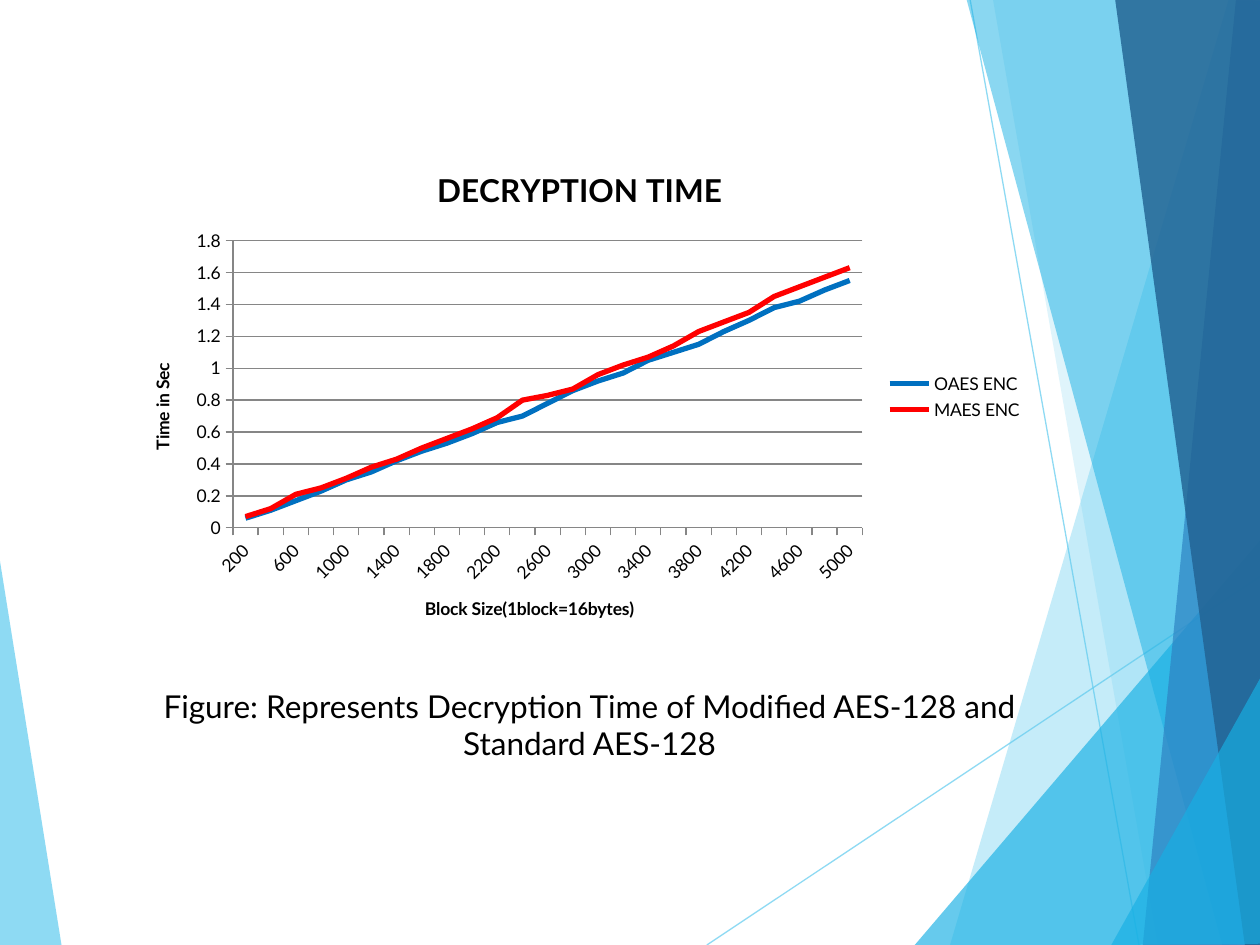
"""Build a slide with a line chart of decryption times and its caption."""
from dataclasses import dataclass

import lxml.etree
import pptx
import pptx.chart.data
import pptx.dml.color
import pptx.enum.chart
import pptx.enum.shapes
import pptx.enum.text
import pptx.oxml
import pptx.oxml.ns
import pptx.util

Inches, Pt, qn = pptx.util.Inches, pptx.util.Pt, pptx.oxml.ns.qn
FACE = "Lato"


@dataclass
class Facet:
    points: list[tuple[float, float]]
    color: str
    alpha: int


@dataclass
class Ray:
    start: tuple[float, float]
    end: tuple[float, float]


@dataclass
class Series:
    name: str
    color: str
    values: list[float]


LEFT = Facet([(-0.01, 4.39), (0.49, 7.51), (-0.01, 7.5)], "5FCBEF", 70)
RAYS = [Ray((5.61, 7.5), (10.01, 4.57)), Ray((7.7, 0), (9.04, 7.5))]
RIGHT = [
    Facet([(9.75, 0), (7.54, 7.5), (10.02, 7.51), (10.01, 0.01)], "5FCBEF", 36),
    Facet([(7.88, -0.01), (9.19, 7.5), (10.01, 7.5), (10.01, -0.01)], "5FCBEF", 20),
    Facet([(7.26, 7.5), (10, 4.29), (10.01, 7.5)], "17B0E4", 66),
    Facet([(7.67, -0.01), (9.7, 7.5), (10.01, 7.49), (10.01, -0.01)], "17B0E4", 50),
    Facet([(9.81, -0.01), (9.07, 7.5), (10.01, 7.5), (10, -0.01)], "2E83C3", 70),
    Facet([(8.85, -0.01), (9.88, 7.5), (10.02, 7.5), (10, -0.01)], "226292", 82),
    Facet([(8.82, 7.5), (10.02, 5.35), (10.02, 7.49)], "17B0E4", 66),
]
SERIES = [
    Series("OAES ENC", "0070C0", [
        0.06, 0.11, 0.17, 0.23, 0.3, 0.35, 0.42, 0.48, 0.53, 0.59, 0.66, 0.7, 0.78,
        0.86, 0.92, 0.97, 1.05, 1.1, 1.15, 1.23, 1.3, 1.38, 1.42, 1.49, 1.55]),
    Series("MAES ENC", "FF0000", [
        0.07, 0.12, 0.21, 0.25, 0.31, 0.38, 0.43, 0.5, 0.56, 0.62, 0.69, 0.8, 0.83,
        0.87, 0.96, 1.02, 1.07, 1.14, 1.23, 1.29, 1.35, 1.45, 1.51, 1.57, 1.63]),
]


def paint(fmt, color: str, alpha: int = 100) -> None:
    """Give a fill or line format a solid colour and opacity."""
    fill = getattr(fmt, "fill", fmt)
    fill.solid()
    fill.fore_color.rgb = pptx.dml.color.RGBColor.from_string(color)


def fade(shape, alpha: int) -> None:
    """Set the opacity of the first colour in a shape."""
    tone = next(shape.element.spPr.iter(qn("a:srgbClr")))
    lxml.etree.SubElement(tone, qn("a:alpha")).set("val", str(alpha * 1000))


def style(font, size: int, bold: bool = False) -> None:
    """Set the face, size, weight and black colour of a font."""
    font.name, font.size, font.bold = FACE, Pt(size), bold
    paint(font, "000000")


def draw_facet(shapes, facet: Facet) -> None:
    """Draw one translucent polygon."""
    spots = [(Inches(x), Inches(y)) for x, y in facet.points]
    pen = shapes.build_freeform(*spots[0])
    pen.add_line_segments(spots[1:], close=True)
    shape = pen.convert_to_shape()
    shape.shadow.inherit = False
    shape.line.fill.background()
    paint(shape.fill, facet.color)
    fade(shape, facet.alpha)


def draw_ray(shapes, ray: Ray) -> None:
    """Draw one thin translucent line."""
    ends = [Inches(n) for n in (*ray.start, *ray.end)]
    line = shapes.add_connector(pptx.enum.shapes.MSO_CONNECTOR.STRAIGHT, *ends)
    line.line.width = Pt(0.75)
    paint(line.line, "5FCBEF")
    fade(line, 70)
    lxml.etree.SubElement(line.element.spPr, qn("a:effectLst"))


def set_title(owner, text: str, size: int) -> None:
    """Give a chart or an axis a bold title."""
    frame = (owner.chart_title if hasattr(owner, "chart_title") else owner.axis_title).text_frame
    frame.text = text
    style(frame.paragraphs[0].font, size, True)


def place_plot(chart) -> None:
    """Fix the inner plot area and the slant and spacing of its labels."""
    plot = chart.element.find(".//" + qn("c:plotArea"))
    for old in plot.findall(qn("c:layout")):
        plot.remove(old)
    spots = {"x": 0.12, "y": 0.19, "w": 0.69, "h": 0.57}
    rows = '<c:layoutTarget val="inner"/><c:xMode val="edge"/><c:yMode val="edge"/>'
    rows += "".join(f'<c:{key} val="{val}"/>' for key, val in spots.items())
    space = pptx.oxml.ns.nsdecls("c")
    plot.insert(0, pptx.oxml.parse_xml(
        f"<c:layout {space}><c:manualLayout>{rows}</c:manualLayout></c:layout>"))
    axis = plot.find(qn("c:catAx"))
    axis.find(qn("c:txPr")).find(qn("a:bodyPr")).set("rot", "-2700000")
    last = axis.find(qn("c:noMultiLvlLbl"))
    for tag, step in (("tickLblSkip", 2), ("tickMarkSkip", 1)):
        last.addprevious(pptx.oxml.parse_xml(f'<c:{tag} {space} val="{step}"/>'))


def draw_chart(shapes) -> None:
    """Draw the decryption time line chart."""
    data = pptx.chart.data.CategoryChartData()
    data.categories = [str(n) for n in range(200, 5001, 200)]
    for item in SERIES:
        data.add_series(item.name, item.values)
    box = [Inches(n) for n in (0.98, 1.15, 7.24, 4)]
    chart = shapes.add_chart(pptx.enum.chart.XL_CHART_TYPE.LINE, *box, data).chart
    style(chart.font, 10)
    set_title(chart, "DECRYPTION TIME", 18)
    chart.has_legend = True
    chart.legend.position = pptx.enum.chart.XL_LEGEND_POSITION.RIGHT
    chart.legend.include_in_layout = False
    style(chart.legend.font, 10)
    chart.plots[0].vary_by_categories = False
    for line, item in zip(chart.plots[0].series, SERIES):
        line.smooth = False
        line.format.line.width = Pt(3)
        paint(line.format.line, item.color)
    cat, val = chart.category_axis, chart.value_axis
    for axis, text in ((cat, "Block Size(1block=16bytes)"), (val, "Time in Sec")):
        set_title(axis, text, 10)
        style(axis.tick_labels.font, 10)
        axis.major_tick_mark = pptx.enum.chart.XL_TICK_MARK.OUTSIDE
        paint(axis.format.line, "868686")
    val.minimum_scale, val.maximum_scale, val.major_unit = 0, 1.8, 0.2
    val.has_major_gridlines = True
    paint(val.major_gridlines.format.line, "868686")
    place_plot(chart)


def draw_note(shapes) -> None:
    """Write the centred caption."""
    box = shapes.add_textbox(*[Inches(n) for n in (0.98, 5.4, 7.4, 0.71)])
    frame = box.text_frame
    frame.word_wrap = True
    frame.text = "Figure: Represents Decryption Time of Modified AES-128 and Standard AES-128"
    frame.paragraphs[0].alignment = pptx.enum.text.PP_ALIGN.CENTER
    style(frame.paragraphs[0].font, 18)


def main() -> None:
    """Build and save the slide."""
    deck = pptx.Presentation()
    deck.slide_width, deck.slide_height = Inches(10), Inches(7.5)
    shapes = deck.slides.add_slide(deck.slide_layouts[6]).shapes
    draw_facet(shapes, LEFT)
    for ray in RAYS:
        draw_ray(shapes, ray)
    for facet in RIGHT:
        draw_facet(shapes, facet)
    draw_chart(shapes)
    draw_note(shapes)
    deck.save("out.pptx")


if __name__ == "__main__":
    main()
